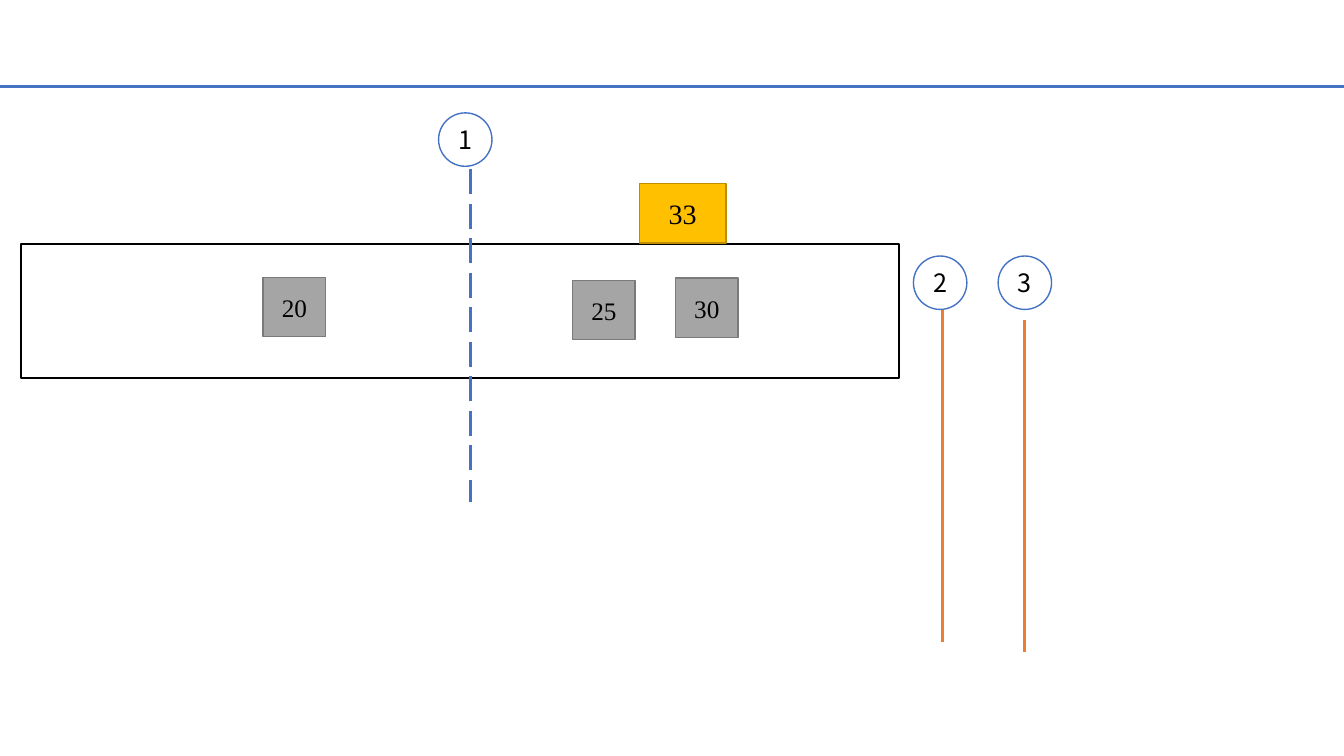
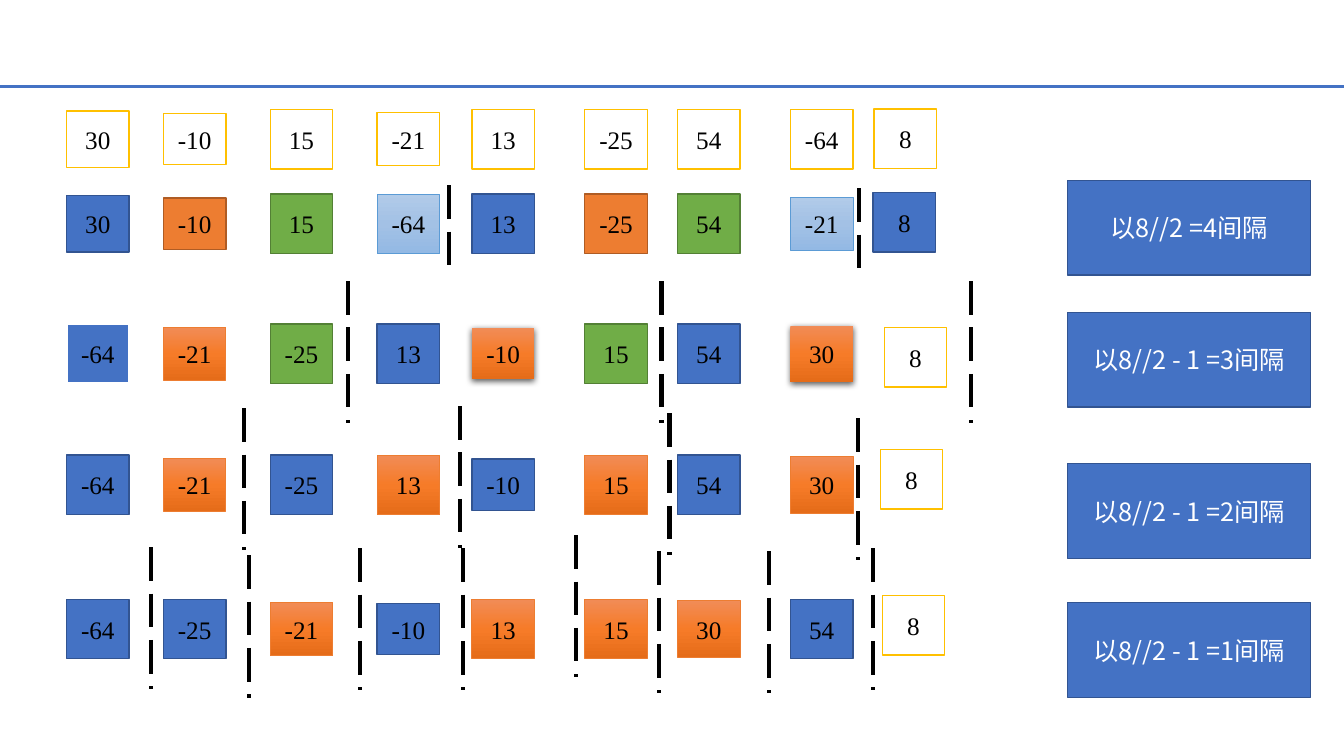
from copy import deepcopy
from itertools import cycle

from lxml import etree
from pptx import Presentation
from pptx.dml.color import RGBColor
from pptx.enum.dml import MSO_LINE
from pptx.enum.shapes import MSO_CONNECTOR, MSO_SHAPE
from pptx.enum.text import MSO_ANCHOR, PP_ALIGN
from pptx.oxml.ns import qn
from pptx.util import Inches, Pt

RECT, OVAL = MSO_SHAPE.RECTANGLE, MSO_SHAPE.OVAL
STRAIGHT, LONG_DASH = MSO_CONNECTOR.STRAIGHT, MSO_LINE.LONG_DASH
MIDDLE, CENTER = MSO_ANCHOR.MIDDLE, PP_ALIGN.CENTER

SERIF, SANS = "Times New Roman", "Noto Sans CJK SC"
BLACK, WHITE = "000000", "FFFFFF"
BLUE, ORANGE, AMBER = "4472C4", "ED7D31", "FFC000"
ORANGE_FADE = ("F18C57", "F67B28", "E56C19")
SKY_FADE = ("B1CBE9", "A3C1E5", "93B9E4")

STYLES = {
    "outline": {"fill": WHITE, "line": AMBER},
    "blue": {"fill": BLUE, "line": "325491"},
    "bare": {"fill": BLUE, "line": WHITE, "width": 1.5},
    "orange": {"fill": ORANGE, "line": "AF5C24"},
    "green": {"fill": "70AD47", "line": "538035"},
    "sky": {"fill": SKY_FADE, "line": "5B9BD5", "width": 0.5},
    "fade": {"fill": ORANGE_FADE, "line": ORANGE, "width": 0.5},
    "raised": {"fill": ORANGE_FADE, "shadow": True},
    "grey": {"fill": "A5A5A5", "line": "7A7A7A"},
    "amber": {"fill": AMBER, "line": "BD8E00"},
    "marker": {"fill": WHITE, "line": BLUE},
    "frame": {"line": BLACK, "width": 1.5},
}

CELL_WIDTH, CELL_HEIGHT = 0.62, 0.59
LOW_HEIGHTS = {"30": 0.56, "-21": 0.53, "-10": 0.51}
COLUMNS = (0.66, 1.62, 2.68, 3.74, 4.68, 5.8, 6.72, 7.84)
ROWS = (
    (1.38, "30 -10 15 -21 13 -25 54 -64", "outline"),
    (2.22, "30 -10 15 -64 13 -25 54 -21", "blue orange green sky"),
    (3.51, "-64 -21 -25 13 -10 15 54 30",
     "bare fade green blue raised green blue raised"),
    (4.81, "-64 -21 -25 13 -10 15 54 30", "blue fade"),
    (6.24, "-64 -25 -21 -10 13 15 30 54",
     "blue blue fade blue fade fade fade blue"),
)
LAST_CELLS = (
    (8.67, 1.08, "outline"), (8.66, 1.91, "blue"), (8.77, 3.25, "outline"),
    (8.73, 4.46, "outline"), (8.75, 5.91, "outline"),
)
SEPARATORS = (
    (0.84, ((4.45, 1.84), (8.52, 1.87))),
    (1.41, ((3.45, 2.79), (6.56, 2.79), (9.63, 2.79))),
    (1.41, ((2.42, 4.05), (4.56, 4.03), (6.64, 4.1), (8.51, 4.15))),
    (1.41, ((1.5, 5.43), (2.47, 5.51), (3.57, 5.44), (4.59, 5.44),
            (5.71, 5.31), (6.54, 5.47), (7.63, 5.47), (8.66, 5.44))),
)
GAP_LABELS = (
    (1.79, "以8//2 =4间隔"), (3.1, "以8//2 - 1 =3间隔"),
    (4.6, "以8//2 - 1 =2间隔"), (5.98, "以8//2 - 1 =1间隔"),
)


def rgb(value):
    """Turn a hex string into a colour."""
    return RGBColor.from_string(value)


def apply(target, values):
    """Set attributes of target from a dict."""
    for name, value in values.items():
        setattr(target, name, value)


def paint(box, fill):
    """Fill a shape with nothing, one colour or a vertical gradient."""
    if fill is None:
        box.fill.background()
    elif isinstance(fill, str):
        box.fill.solid()
        box.fill.fore_color.rgb = rgb(fill)
    else:
        box.fill.gradient()
        box.fill.gradient_angle = 270
        stops = box.element.spPr.find(".//" + qn("a:gsLst"))
        stops.insert(1, deepcopy(stops[0]))
        for index, (stop, colour) in enumerate(zip(box.fill.gradient_stops, fill)):
            stop.position = index / 2
            stop.color.rgb = rgb(colour)


def add_shadow(box):
    """Give a shape a soft shadow below it."""
    effects = box.element.spPr.find(qn("a:effectLst"))
    shadow = etree.SubElement(effects, qn("a:outerShdw"), blurRad=str(Pt(4.5)),
                              dist=str(Pt(1.5)), dir="5400000", rotWithShape="0")
    colour = etree.SubElement(shadow, qn("a:srgbClr"), val=BLACK)
    etree.SubElement(colour, qn("a:alpha"), val="63000")


def write(box, text, size, font, colour):
    """Put one centred run of text in a shape."""
    frame = box.text_frame
    apply(frame, {"word_wrap": True, "vertical_anchor": MIDDLE, "margin_left": 0,
                  "margin_right": 0, "margin_top": 0, "margin_bottom": 0})
    para = frame.paragraphs[0]
    para.alignment = CENTER
    span = para.add_run()
    span.text = text
    apply(span.font, {"size": Pt(size), "name": font})
    span.font.color.rgb = rgb(colour)
    etree.SubElement(span.font._element, qn("a:ea"), typeface=font)


def add_box(shapes, place, style, text="", size=18, font=SERIF, colour=BLACK,
            kind=RECT):
    """Add a styled shape, with text if there is any."""
    look = STYLES[style]
    box = shapes.add_shape(kind, *map(Inches, place))
    box.shadow.inherit = False
    paint(box, look.get("fill"))
    if "line" in look:
        box.line.color.rgb = rgb(look["line"])
        box.line.width = Pt(look.get("width", 1))
    else:
        box.line.fill.background()
    if look.get("shadow"):
        add_shadow(box)
    if text:
        write(box, text, size, font, colour)


def add_line(shapes, start, end, colour, width=2.25, dash=None):
    """Add a straight line without a shadow."""
    line = shapes.add_connector(STRAIGHT, *map(Inches, start + end))
    line.line.color.rgb = rgb(colour)
    apply(line.line, {"width": Pt(width), "dash_style": dash})
    etree.SubElement(line.element.spPr, qn("a:effectLst"))
    return line


def add_marker(page, number, circle, top, colour, dash=None):
    """Group a numbered circle with its upright line."""
    left, circle_top, line_x = circle
    shapes = page.shapes.add_group_shape().shapes
    add_line(shapes, (line_x, top), (line_x, top + 3.3), colour, dash=dash)
    add_box(shapes, (left, circle_top, 0.53, 0.53), "marker", number,
            font=SANS, kind=OVAL)


def add_row(page, middle, values, styles):
    """Add one row of number cells centred on a height."""
    for left, value, style in zip(COLUMNS, values.split(), cycle(styles.split())):
        height = LOW_HEIGHTS.get(value, CELL_HEIGHT)
        add_box(page.shapes, (left, middle - height / 2, CELL_WIDTH, height),
                style, value)


def build_insertion(page):
    """Fill the slide that inserts a number between sorted ones."""
    add_box(page.shapes, (0.21, 2.42, 8.71, 1.33), "frame")
    for left, top, value in ((2.61, 2.75, "20"), (5.68, 2.78, "25"),
                             (6.7, 2.76, "30")):
        add_box(page.shapes, (left, top, CELL_WIDTH, CELL_HEIGHT), "grey", value)
    add_box(page.shapes, (6.34, 1.82, 0.86, CELL_HEIGHT), "amber", "33", size=20)
    add_marker(page, "1", (4.35, 1.12, 4.67), 1.68, BLUE, LONG_DASH)
    add_marker(page, "2", (9.06, 2.54, 9.35), 3.07, ORANGE)
    add_marker(page, "3", (9.9, 2.54, 10.16), 3.17, ORANGE)


def build_gaps(page):
    """Fill the slide that sorts with shrinking gaps."""
    for row in ROWS:
        add_row(page, *row)
    for left, top, style in LAST_CELLS:
        add_box(page.shapes, (left, top, CELL_WIDTH, CELL_HEIGHT), style, "8")
    for length, starts in SEPARATORS:
        for x, top in starts:
            add_line(page.shapes, (x, top), (x, top + length), BLACK, 3, LONG_DASH)
    for top, text in GAP_LABELS:
        add_box(page.shapes, (10.59, top, 2.41, 0.94), "blue", text,
                font=SANS, colour=WHITE)


def main():
    """Build and save the deck."""
    deck = Presentation()
    apply(deck, {"slide_width": Inches(13.33), "slide_height": Inches(7.5)})
    layout = deck.slide_layouts[6]
    pages = [deck.slides.add_slide(layout) for _ in range(2)]
    header = add_line(pages[0].shapes, (0, 0.86), (13.33, 0.86), BLUE)
    layout.shapes.element.append(header.element)
    build_insertion(pages[0])
    build_gaps(pages[1])
    deck.save("out.pptx")


main()
